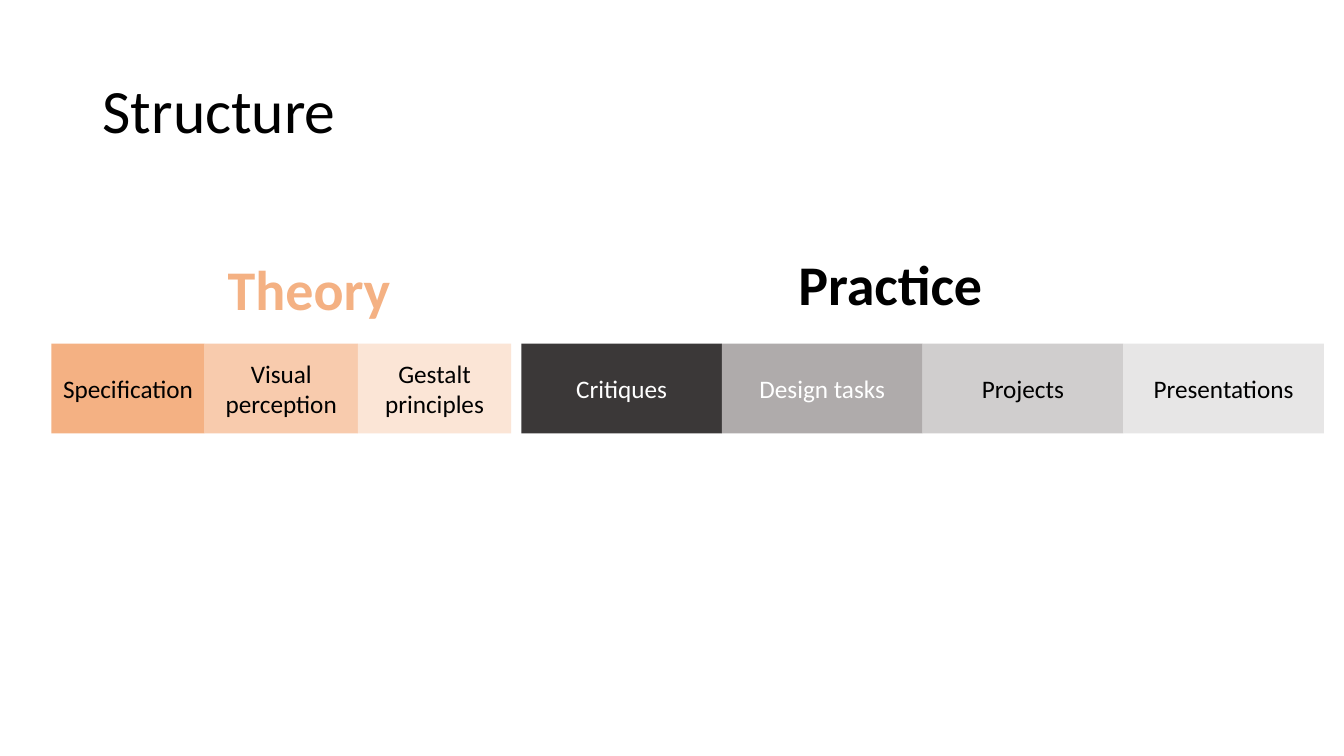
from pptx import Presentation
from pptx import util as u
from pptx.dml.color import RGBColor
from pptx.enum import shapes, text

COLOURS = {
    "black": "000000", "white": "FFFFFF",
    "orange": "F4B183", "peach": "F8CBAD", "cream": "FBE5D6",
    "charcoal": "3B3838", "grey": "AFABAB", "silver": "D0CECE", "mist": "E7E6E6",
}
BAR_TOP, BAR_HEIGHT = 3.41, 0.89

deck = Presentation()
deck.slide_width, deck.slide_height = u.Inches(13.33), u.Inches(7.5)
page = deck.slides.add_slide(deck.slide_layouts[6])


def write(box, words, size, colour, bold=False):
    box.text_frame.text = words
    para = box.text_frame.paragraphs[0]
    span = para.runs[0]
    span.font.name = "Calibri"
    span.font.size = u.Pt(size)
    span.font.bold = bold
    span.font.color.rgb = RGBColor.from_string(COLOURS[colour])
    return para


def add_text(left, top, width, height, words, size, colour, bold=False):
    box = page.shapes.add_textbox(*map(u.Inches, (left, top, width, height)))
    return box.text_frame, write(box, words, size, colour, bold)


# Title
frame, para = add_text(0.92, 0.4, 11.5, 1.45, "Structure", 44, "black")
frame.word_wrap = True
frame.vertical_anchor = text.MSO_ANCHOR.MIDDLE
para.line_spacing = 0.9

# Headings over the two parts
for heading in (
    (2.16, 2.48, 1.83, 0.77, "Theory", 40, "orange", True),
    (7.82, 2.43, 2.05, 0.77, "Practice", 40, "black", True),
):
    frame, para = add_text(*heading)
    frame.word_wrap = False
    frame.auto_size = text.MSO_AUTO_SIZE.SHAPE_TO_FIT_TEXT

# Bar of topics: left edge, column width, then label, fill and text colour
parts = (
    (0.51, 1.52, (
        ("Specification", "orange", "black"),
        ("Visual perception", "peach", "black"),
        ("Gestalt principles", "cream", "black"),
    )),
    (5.17, 1.99, (
        ("Critiques", "charcoal", "white"),
        ("Design tasks", "grey", "white"),
        ("Projects", "silver", "black"),
        ("Presentations", "mist", "black"),
    )),
)
for left, width, topics in parts:
    for column, (label, fill, ink) in enumerate(topics):
        box = page.shapes.add_shape(
            shapes.MSO_SHAPE.RECTANGLE,
            u.Inches(left + column * width), u.Inches(BAR_TOP),
            u.Inches(width), u.Inches(BAR_HEIGHT))
        box.shadow.inherit = False
        box.fill.solid()
        box.fill.fore_color.rgb = RGBColor.from_string(COLOURS[fill])
        box.line.fill.background()
        box.text_frame.word_wrap = True
        box.text_frame.vertical_anchor = text.MSO_ANCHOR.MIDDLE
        write(box, label, 18, ink).alignment = text.PP_ALIGN.CENTER

deck.save("out.pptx")
